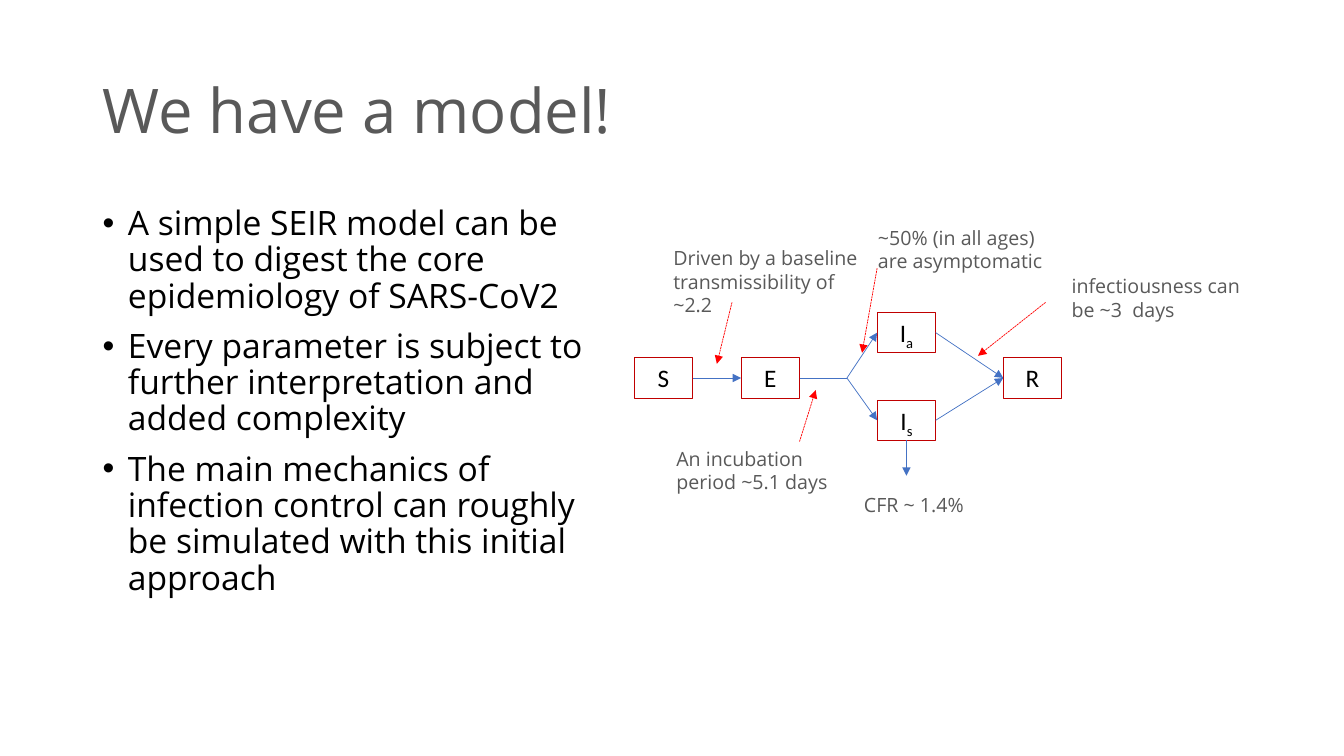
"""Build a slide that explains an SEIR epidemic model with a small flow diagram."""
from dataclasses import dataclass
from typing import Optional, Union

from lxml import etree
from pptx import Presentation
from pptx import util as u
from pptx.dml import color
from pptx.enum import dml, shapes, text
from pptx.oxml import ns

COLORS = {
    "gray": "595959",
    "black": "000000",
    "box": "C00000",
    "flow": "4472C4",
    "pointer": "FF0000",
}
TOP, LEFT, BOTTOM, RIGHT = range(4)
BOX_WIDTH, BOX_HEIGHT = 0.58, 0.4
NOTE_WIDTH = 2.06
FORK = (8.4, 3.75)


@dataclass(frozen=True)
class State:
    name: str
    left: float
    top: float
    subscript: str = ""


@dataclass(frozen=True)
class Note:
    words: str
    left: float
    top: float
    height: float = 0.57


@dataclass(frozen=True)
class Side:
    state: str
    site: int


End = Union[Side, tuple[float, float]]


@dataclass(frozen=True)
class Link:
    start: End
    end: End
    color: str = "flow"
    arrow: bool = True


STATES = [
    State("S", 6.29, 3.55),
    State("E", 7.35, 3.55),
    State("I", 8.7, 3.1, "a"),
    State("I", 8.7, 3.97, "s"),
    State("R", 9.95, 3.55),
]

NOTES = [
    Note("Driven by a baseline transmissibility of ~2.2", 6.58, 2.39, 0.81),
    Note("An incubation period ~5.1 days", 6.61, 4.38),
    Note("~50% (in all ages) are asymptomatic", 8.61, 2.19),
    Note("CFR ~ 1.4%", 8.47, 4.84, 0.34),
    Note("infectiousness can be ~3  days", 10.53, 2.67),
]

LINKS = [
    Link(Side("S", RIGHT), Side("E", LEFT)),
    Link(Side("E", RIGHT), FORK, arrow=False),
    Link(FORK, Side("Ia", LEFT)),
    Link(FORK, Side("Is", LEFT)),
    Link(Side("Ia", RIGHT), Side("R", LEFT)),
    Link(Side("Is", RIGHT), Side("R", LEFT)),
    Link(Side("Is", BOTTOM), (8.99, 4.72)),
    Link((7.26, 3), (7.11, 3.61), "pointer"),
    Link((7.93, 4.38), (8.09, 3.87), "pointer"),
    Link((8.7, 2.66), (8.55, 3.5), "pointer"),
    Link((10.37, 3), (9.7, 3.53), "pointer"),
]

BULLETS = [
    "A simple SEIR model can be used to digest the core epidemiology of SARS-CoV2",
    "Every parameter is subject to further interpretation and added complexity",
    "The main mechanics of infection control can roughly be simulated with this initial approach",
]


def rgb(name: str) -> color.RGBColor:
    return color.RGBColor.from_string(COLORS[name])


def add_bullet(paragraph) -> None:
    properties = paragraph._p.get_or_add_pPr()
    properties.set("marL", str(u.Inches(0.25)))
    properties.set("indent", str(-u.Inches(0.25)))
    etree.SubElement(properties, ns.qn("a:buFont")).set("typeface", "Arial")
    etree.SubElement(properties, ns.qn("a:buChar")).set("char", "•")


def write(shape, paragraphs: list[str], *, size: float, font: str = "Open Sans",
          fill: str = "gray", align=text.PP_ALIGN.LEFT, anchor=text.MSO_ANCHOR.TOP,
          spacing: float = 1.0, gap: float = 0, bullets: bool = False,
          grow: bool = False, subscript: str = "") -> None:
    frame = shape.text_frame
    frame.word_wrap = True
    frame.vertical_anchor = anchor
    frame.auto_size = (text.MSO_AUTO_SIZE.SHAPE_TO_FIT_TEXT if grow
                       else text.MSO_AUTO_SIZE.NONE)
    for index, words in enumerate(paragraphs):
        paragraph = frame.add_paragraph() if index else frame.paragraphs[0]
        paragraph.alignment = align
        paragraph.line_spacing = spacing
        paragraph.space_before = u.Pt(gap if index else 0)
        if bullets:
            add_bullet(paragraph)
        for part in filter(None, (words, subscript)):
            run = paragraph.add_run()
            run.text = part
            run.font.size = u.Pt(size)
            run.font.name = font
            run.font.color.rgb = rgb(fill)
        if subscript:
            run._r.get_or_add_rPr().set("baseline", "-25000")


def add_text(slide, left: float, top: float, width: float, height: float,
             paragraphs: list[str], **text_format) -> None:
    shape = slide.shapes.add_textbox(*map(u.Inches, (left, top, width, height)))
    write(shape, paragraphs, **text_format)


def add_state(slide, state: State):
    shape = slide.shapes.add_shape(
        shapes.MSO_SHAPE.RECTANGLE,
        *map(u.Inches, (state.left, state.top, BOX_WIDTH, BOX_HEIGHT)))
    shape.shadow.inherit = False
    shape.fill.background()
    shape.line.color.rgb = rgb("box")
    shape.line.width = u.Pt(0.75)
    write(shape, [state.name], size=18, font="Calibri", fill="black", grow=True,
          align=text.PP_ALIGN.CENTER, subscript=state.subscript)
    return shape


def add_link(slide, link: Link, boxes: dict) -> None:
    points = [(0, 0) if isinstance(end, Side) else end for end in (link.start, link.end)]
    connector = slide.shapes.add_connector(
        shapes.MSO_CONNECTOR.STRAIGHT,
        *(u.Inches(value) for point in points for value in point))
    if isinstance(link.start, Side):
        connector.begin_connect(boxes[link.start.state], link.start.site)
    if isinstance(link.end, Side):
        connector.end_connect(boxes[link.end.state], link.end.site)
    connector.line.color.rgb = rgb(link.color)
    connector.line.width = u.Pt(0.5)
    if link.color == "pointer":
        connector.line.dash_style = dml.MSO_LINE.SQUARE_DOT
    properties = connector._element.spPr
    if link.arrow:
        outline = properties.find(ns.qn("a:ln"))
        etree.SubElement(outline, ns.qn("a:tailEnd")).set("type", "triangle")
    etree.SubElement(properties, ns.qn("a:effectLst"))


def main() -> None:
    presentation = Presentation()
    presentation.slide_width = u.Inches(13.33)
    presentation.slide_height = u.Inches(7.5)
    slide = presentation.slides.add_slide(presentation.slide_layouts[6])

    add_text(slide, 0.92, 0.4, 11.5, 1.45, ["We have a model!"], size=44,
             anchor=text.MSO_ANCHOR.MIDDLE, spacing=0.9)
    add_text(slide, 0.92, 2, 4.99, 4.76, BULLETS, size=24, fill="black",
             spacing=0.9, gap=10, bullets=True)

    boxes: dict[str, Optional[object]] = {
        state.name + state.subscript: add_state(slide, state) for state in STATES}
    for link in LINKS:
        add_link(slide, link, boxes)
    for note in NOTES:
        add_text(slide, note.left, note.top, NOTE_WIDTH, note.height, [note.words],
                 size=14, grow=True)

    presentation.save("out.pptx")


if __name__ == "__main__":
    main()
